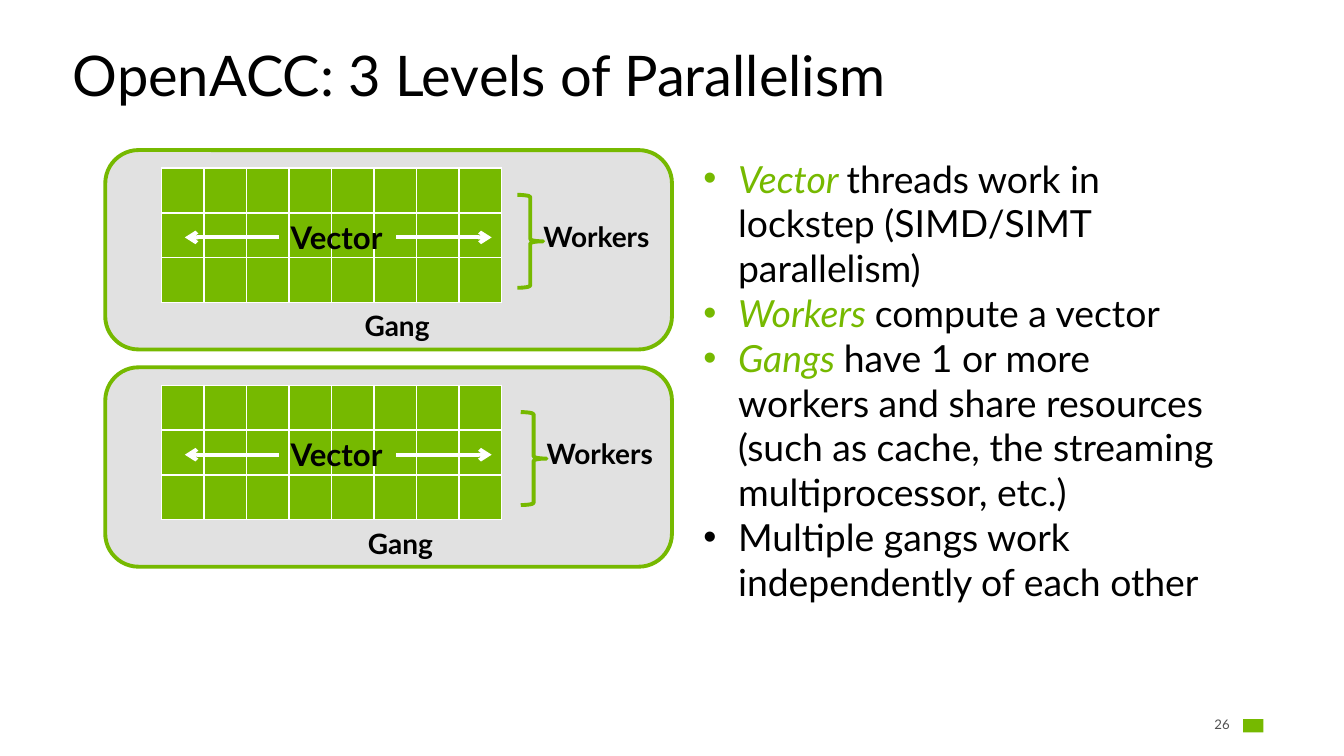
"""Build the slide on the three levels of OpenACC parallelism."""
from lxml import etree
from pptx import Presentation
from pptx import util as u
from pptx.dml import color
from pptx.enum import shapes, text
from pptx.oxml import ns

In = u.Inches
GREEN = color.RGBColor(0x76, 0xB9, 0x00)
GREY = color.RGBColor(0xE1, 0xE1, 0xE1)
DARK = color.RGBColor(0x50, 0x50, 0x50)
BLACK = color.RGBColor(0, 0, 0)
WHITE = color.RGBColor(255, 255, 255)
POINTS = [
    ("Vector ", "threads work in lockstep (SIMD/SIMT parallelism)"),
    ("Workers ", "compute a vector"),
    ("Gangs ", "have 1 or more workers and share resources "
               "(such as cache, the streaming multiprocessor, etc.)"),
    ("", "Multiple gangs work independently of each other"),
]


def write(par, words, size=18, tint=BLACK, bold=False, italic=False, face="Lato"):
    run = par.add_run()
    run.text = words
    font = run.font
    font.name, font.size = face, u.Pt(size)
    font.bold, font.italic = bold, italic
    font.color.rgb = tint


def sub(node, tag, **attrs):
    return etree.SubElement(node, ns.qn(tag), attrs)


class Deck:
    def __init__(self):
        self.prs = Presentation()
        self.prs.slide_width, self.prs.slide_height = In(12), In(6.75)
        self.slide = self.prs.slides.add_slide(self.prs.slide_layouts[1])
        self.shapes = self.slide.shapes
        self.weight = u.Pt(2.5)

    def place(self, item, x, y, w, h):
        item.left, item.top, item.width, item.height = In(x), In(y), In(w), In(h)
        item.text_frame.auto_size = text.MSO_AUTO_SIZE.NONE
        return item.text_frame

    def title(self, words, *box):
        frame = self.place(self.shapes.title, *box)
        frame.vertical_anchor = text.MSO_ANCHOR.BOTTOM
        par = frame.paragraphs[0]
        par.alignment, par.line_spacing = text.PP_ALIGN.LEFT, 0.9
        write(par, words, size=36)

    def bullets(self, points, *box):
        frame = self.place(self.slide.placeholders[1], *box)
        for i, (key, rest) in enumerate(points):
            par = frame.add_paragraph() if i else frame.paragraphs[0]
            par.space_before = u.Pt(0)
            props = par._p.get_or_add_pPr()
            props.set("marL", str(In(0.31)))
            props.set("indent", str(-In(0.31)))
            if key:
                write(par, key, size=24, tint=GREEN, italic=True)
            write(par, rest, size=24)

    def label(self, words, x, y, w, h, align=text.PP_ALIGN.CENTER, **style):
        frame = self.shapes.add_textbox(In(x), In(y), In(w), In(h)).text_frame
        frame.word_wrap = True
        frame.paragraphs[0].alignment = align
        write(frame.paragraphs[0], words, **style)
        return frame

    def shape(self, kind, x, y, w, h, fill=None, line=GREEN):
        item = self.shapes.add_shape(kind, In(x), In(y), In(w), In(h))
        item.shadow.inherit = False
        if fill is None:
            item.fill.background()
        else:
            item.fill.solid()
            item.fill.fore_color.rgb = fill
        if line is None:
            item.line.fill.background()
        else:
            item.line.color.rgb, item.line.width = line, self.weight

    def arrow(self, start, end, y):
        item = self.shapes.add_connector(
            shapes.MSO_CONNECTOR.STRAIGHT, In(start), In(y), In(end), In(y))
        item.line.color.rgb, item.line.width = WHITE, self.weight
        sub(item.line._get_or_add_ln(), "a:tailEnd", type="arrow")
        sub(item._element.spPr, "a:effectLst")

    def grid(self, rows, cols, x, y, w, h):
        table = self.shapes.add_table(rows, cols, In(x), In(y), In(w), In(h)).table
        for row in table.rows:
            row.height = In(h / rows)
        for cell in table.iter_cells():
            cell.fill.solid()
            cell.fill.fore_color.rgb = GREEN
            props = cell._tc.get_or_add_tcPr()
            for i, side in enumerate("LRTB"):
                edge = sub(props, f"a:ln{side}", w=str(u.Pt(1)))
                sub(sub(edge, "a:solidFill"), "a:srgbClr", val=str(WHITE))
                props.insert(i, edge)

    def gang(self, top, shift):
        kind = shapes.MSO_SHAPE
        self.shape(kind.ROUNDED_RECTANGLE, 0.94, top, 5.06, 1.78, fill=GREY)
        self.shape(kind.RIGHT_BRACE, 4.62 + shift, top + 0.4, 0.23, 0.83)
        self.label("Workers", 4.65 + shift, top + 0.57, 1.35, 0.4, bold=True)
        self.label("Gang", 2.67 + shift, top + 1.37, 1.75, 0.4, bold=True)
        self.grid(3, 8, 1.44, top + 0.16, 3.04, 1.2)
        self.label("Vector", 1.46, top + 0.56, 3.09, 0.44, size=20, bold=True)
        self.arrow(3.54, 4.39, top + 0.78)
        self.arrow(2.49, 1.65, top + 0.78)

    def footer(self, number):
        frame = self.label(number, 10.68, 6.38, 0.3, 0.18,
                           align=text.PP_ALIGN.RIGHT, size=8.5, tint=DARK)
        frame.margin_left = frame.margin_right = 0
        frame.margin_top = frame.margin_bottom = 0
        frame.vertical_anchor = text.MSO_ANCHOR.MIDDLE
        self.shape(shapes.MSO_SHAPE.RECTANGLE, 11.1, 6.42, 0.18, 0.12,
                   fill=GREEN, line=None)


def main():
    deck = Deck()
    deck.title("OpenACC: 3 Levels of Parallelism", 0.55, 0.37, 10.91, 0.65)
    deck.bullets(POINTS, 6.18, 1.34, 4.86, 5.35)
    for top, shift in ((1.34, 0), (3.28, 0.03)):
        deck.gang(top, shift)
    deck.footer("26")
    deck.prs.save("out.pptx")


if __name__ == "__main__":
    main()
